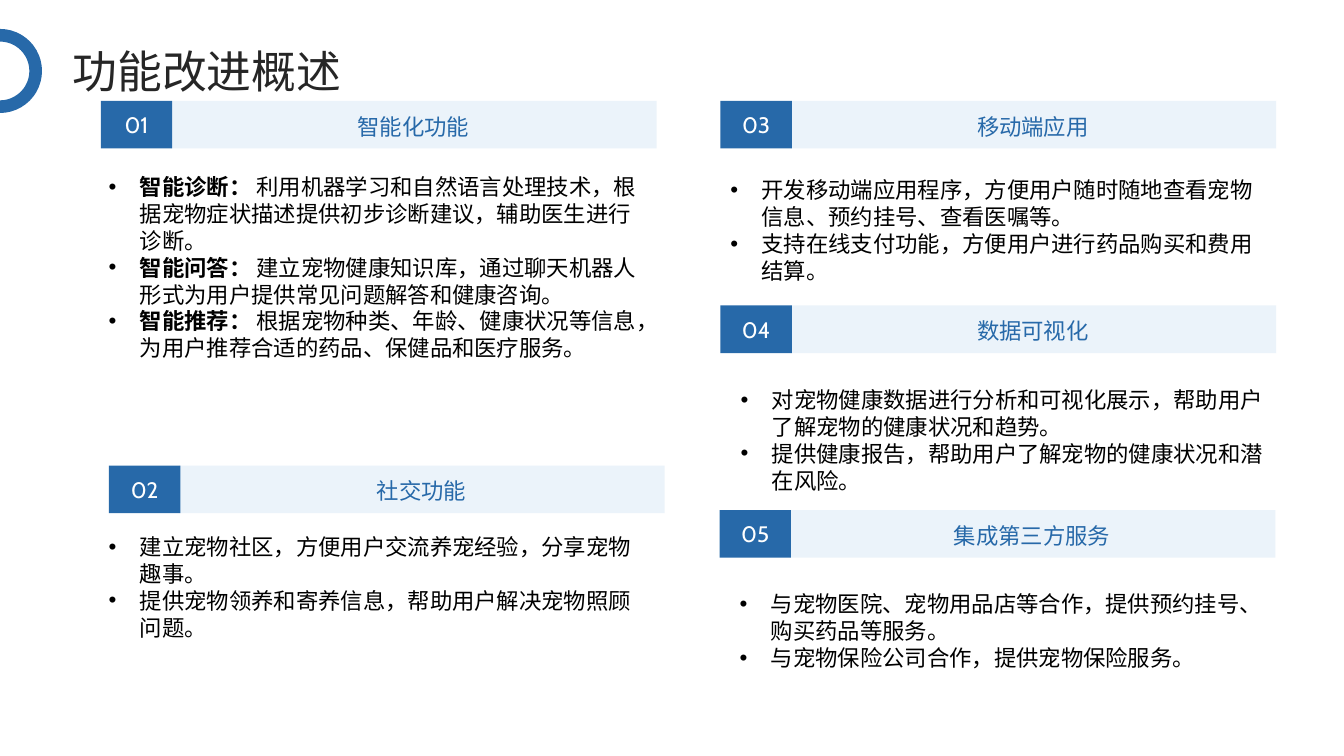
import pptx
import pptx.dml.color
import pptx.enum.shapes
import pptx.enum.text
import pptx.oxml.ns
import pptx.util
from lxml import etree

Pt = pptx.util.Pt
qn = pptx.oxml.ns.qn
SHAPES = pptx.enum.shapes.MSO_SHAPE
ANCHOR = pptx.enum.text.MSO_ANCHOR
ALIGN = pptx.enum.text.PP_ALIGN

COLORS = {
    "blue": "2769A9",
    "pale": "CEE1F4",
    "title": "262626",
    "body": "000000",
    "white": "FFFFFF",
}
CJK, NUMERALS = "Noto Sans CJK SC", "Cabin"

# number, heading, heading left and top, body left and top, body line count, points
SECTIONS = [
    ("01", "智能化功能", (72, 72), (70.6, 120.2), 7, [
        ("智能诊断：", " 利用机器学习和自然语言处理技术，根据宠物症状描述提供初步诊断建议，辅助医生进行诊断。"),
        ("智能问答：", " 建立宠物健康知识库，通过聊天机器人形式为用户提供常见问题解答和健康咨询。"),
        ("智能推荐：", " 根据宠物种类、年龄、健康状况等信息，为用户推荐合适的药品、保健品和医疗服务。"),
    ]),
    ("02", "社交功能", (77.8, 332.6), (70.6, 377.3), 4, [
        ("", "建立宠物社区，方便用户交流养宠经验，分享宠物趣事。"),
        ("", "提供宠物领养和寄养信息，帮助用户解决宠物照顾问题。"),
    ]),
    ("03", "移动端应用", (514.6, 72), (514.6, 122.4), 4, [
        ("", "开发移动端应用程序，方便用户随时随地查看宠物信息、预约挂号、查看医嘱等。"),
        ("", "支持在线支付功能，方便用户进行药品购买和费用结算。"),
    ]),
    ("04", "数据可视化", (514.6, 218.2), (522, 272.2), 4, [
        ("", "对宠物健康数据进行分析和可视化展示，帮助用户了解宠物的健康状况和趋势。"),
        ("", "提供健康报告，帮助用户了解宠物的健康状况和潜在风险。"),
    ]),
    ("05", "集成第三方服务", (514, 364.3), (521.3, 418.3), 3, [
        ("", "与宠物医院、宠物用品店等合作，提供预约挂号、购买药品等服务。"),
        ("", "与宠物保险公司合作，提供宠物保险服务。"),
    ]),
]


class Deck:
    body_size = 16
    line_height = 19.2
    indent = 22.3

    def __init__(self, slide):
        self.shapes = slide.shapes

    def rgb(self, color):
        return pptx.dml.color.RGBColor.from_string(COLORS[color])

    def style_run(self, run, size, color, font, bold=False):
        run.font.size = Pt(size)
        run.font.bold = bold
        run.font.name = font
        run.font.color.rgb = self.rgb(color)
        east_asian = etree.SubElement(run.font._element, qn("a:ea"))
        east_asian.set("typeface", font)

    def ring(self, left, top, diameter, width):
        ring = self.shapes.add_shape(
            SHAPES.OVAL, Pt(left), Pt(top), Pt(diameter), Pt(diameter))
        ring.shadow.inherit = False
        ring.fill.background()
        ring.line.color.rgb = self.rgb("blue")
        ring.line.width = Pt(width)

    def bar(self, left, top, width, height, color, opacity=100):
        bar = self.shapes.add_shape(
            SHAPES.RECTANGLE, Pt(left), Pt(top), Pt(width), Pt(height))
        bar.shadow.inherit = False
        bar.line.fill.background()
        bar.fill.solid()
        bar.fill.fore_color.rgb = self.rgb(color)
        if opacity < 100:
            tint = bar._element.spPr.find(qn("a:solidFill"))[0]
            etree.SubElement(tint, qn("a:alpha")).set("val", str(opacity * 1000))

    def label(self, text, left, top, width, height, size, color,
              font=CJK, align=ALIGN.CENTER):
        """Add one line of text, centred vertically, without insets."""
        frame = self.shapes.add_textbox(
            Pt(left), Pt(top), Pt(width), Pt(height)).text_frame
        frame.word_wrap = True
        frame.vertical_anchor = ANCHOR.MIDDLE
        frame.margin_left = frame.margin_right = 0
        frame.margin_top = frame.margin_bottom = 0
        frame.text = text
        frame.paragraphs[0].alignment = align
        self.style_run(frame.paragraphs[0].runs[0], size, color, font)

    def heading(self, number, title, left, top):
        self.bar(left + 50, top, 347, 34, "pale", opacity=40)
        self.bar(left, top, 51, 34, "blue")
        self.label(title, left + 67.3, top + 7, 311.8, 22.3, 16, "blue")
        self.label(number, left + 7.5, top + 7.2, 36, 19.4, 16, "white", NUMERALS)

    def bullets(self, points, left, top, line_count):
        frame = self.shapes.add_textbox(
            Pt(left), Pt(top), Pt(398.2),
            Pt(line_count * self.line_height + 7.2)).text_frame
        frame.word_wrap = True
        for index, (lead, detail) in enumerate(points):
            point = frame.add_paragraph() if index else frame.paragraphs[0]
            point.line_spacing = Pt(self.line_height)
            properties = point._p.get_or_add_pPr()
            properties.set("marL", str(Pt(self.indent)))
            properties.set("indent", str(-Pt(self.indent)))
            etree.SubElement(properties, qn("a:buFont")).set("typeface", "Arial")
            etree.SubElement(properties, qn("a:buChar")).set("char", "•")
            for text, bold in ((lead, True), (detail, False)):
                if text:
                    run = point.add_run()
                    run.text = text
                    self.style_run(run, self.body_size, "body", CJK, bold)


def main():
    presentation = pptx.Presentation()
    presentation.slide_width, presentation.slide_height = Pt(960), Pt(540)
    deck = Deck(presentation.slides.add_slide(presentation.slide_layouts[6]))
    deck.ring(-25.5, 25.2, 51, 9)
    deck.label("功能改进概述", 51.8, 33.8, 855.4, 33.8, 32, "title", align=ALIGN.LEFT)
    for number, title, heading_at, body_at, line_count, points in SECTIONS:
        deck.heading(number, title, *heading_at)
        deck.bullets(points, *body_at, line_count)
    presentation.save("out.pptx")


if __name__ == "__main__":
    main()
